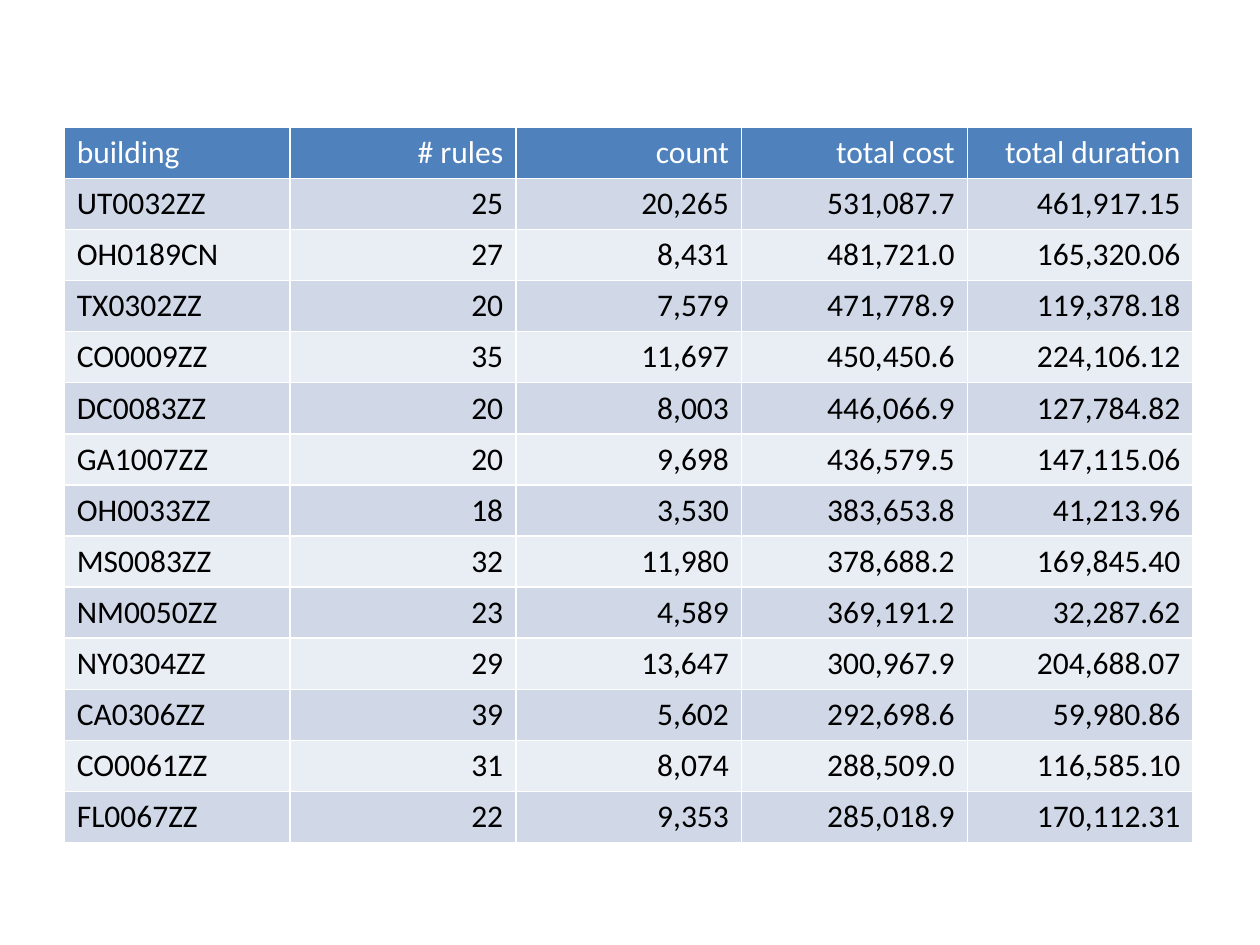
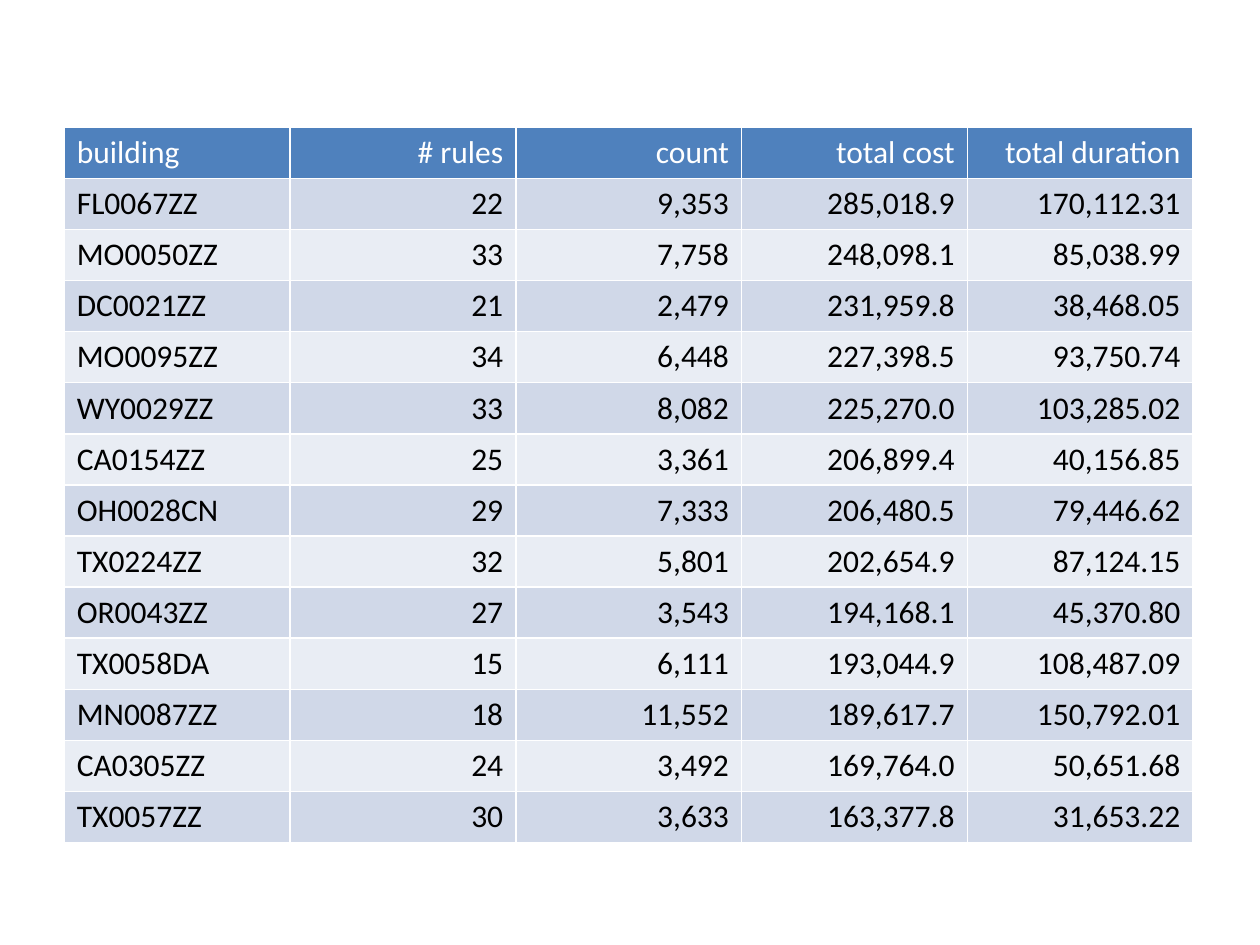
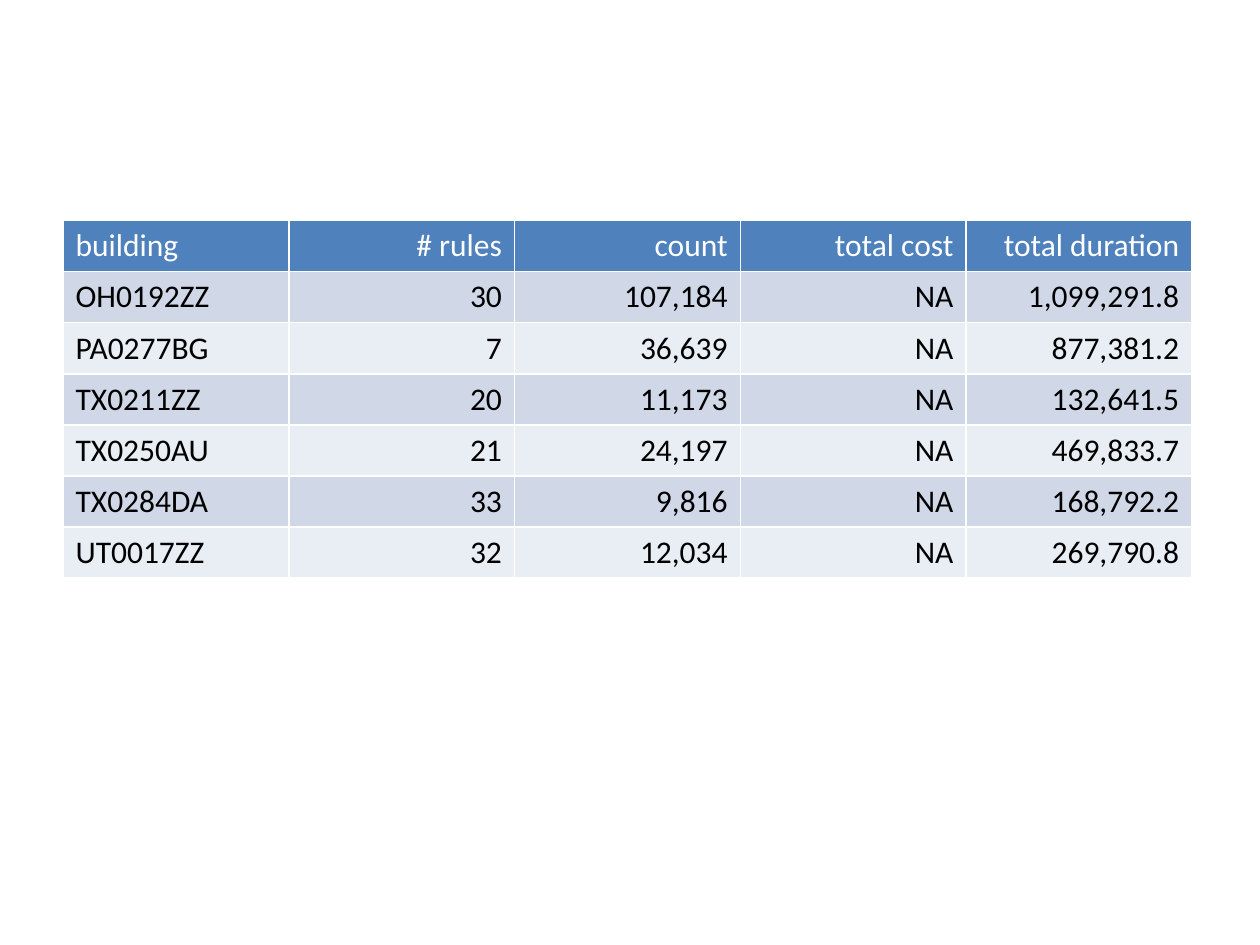
"""Build three slides of building cost tables."""
import dataclasses

import pptx
import pptx.dml.color
import pptx.enum.text
import pptx.util

SLIDE_WIDTH = pptx.util.Inches(10)
SLIDE_HEIGHT = pptx.util.Inches(7.5)
GRID_COLUMNS = 100
GRID_ROWS = 75
TABLE_COLUMNS = 89.6
ROW_SPAN = 4

FONT = "Calibri"
FONT_SIZE = 18
HEADER_FILL = "4F81BD"
HEADER_TEXT = "FFFFFF"
BODY_TEXT = "000000"
BAND_FILLS = ("D0D8E8", "E9EDF4")

HEADINGS = ("building", "# rules", "count", "total cost", "total duration")


@dataclasses.dataclass(frozen=True)
class BuildingTable:
    """Buildings on one slide and the grid position of their table."""
    column: float
    row: float
    buildings: tuple[tuple[str, ...], ...]


BUILDING_TABLES = (
    BuildingTable(5.1, 10.1, (
        ("UT0032ZZ", "25", "20,265", "531,087.7", "461,917.15"),
        ("OH0189CN", "27", "8,431", "481,721.0", "165,320.06"),
        ("TX0302ZZ", "20", "7,579", "471,778.9", "119,378.18"),
        ("CO0009ZZ", "35", "11,697", "450,450.6", "224,106.12"),
        ("DC0083ZZ", "20", "8,003", "446,066.9", "127,784.82"),
        ("GA1007ZZ", "20", "9,698", "436,579.5", "147,115.06"),
        ("OH0033ZZ", "18", "3,530", "383,653.8", "41,213.96"),
        ("MS0083ZZ", "32", "11,980", "378,688.2", "169,845.40"),
        ("NM0050ZZ", "23", "4,589", "369,191.2", "32,287.62"),
        ("NY0304ZZ", "29", "13,647", "300,967.9", "204,688.07"),
        ("CA0306ZZ", "39", "5,602", "292,698.6", "59,980.86"),
        ("CO0061ZZ", "31", "8,074", "288,509.0", "116,585.10"),
        ("FL0067ZZ", "22", "9,353", "285,018.9", "170,112.31"),
    )),
    BuildingTable(5.1, 10.1, (
        ("FL0067ZZ", "22", "9,353", "285,018.9", "170,112.31"),
        ("MO0050ZZ", "33", "7,758", "248,098.1", "85,038.99"),
        ("DC0021ZZ", "21", "2,479", "231,959.8", "38,468.05"),
        ("MO0095ZZ", "34", "6,448", "227,398.5", "93,750.74"),
        ("WY0029ZZ", "33", "8,082", "225,270.0", "103,285.02"),
        ("CA0154ZZ", "25", "3,361", "206,899.4", "40,156.85"),
        ("OH0028CN", "29", "7,333", "206,480.5", "79,446.62"),
        ("TX0224ZZ", "32", "5,801", "202,654.9", "87,124.15"),
        ("OR0043ZZ", "27", "3,543", "194,168.1", "45,370.80"),
        ("TX0058DA", "15", "6,111", "193,044.9", "108,487.09"),
        ("MN0087ZZ", "18", "11,552", "189,617.7", "150,792.01"),
        ("CA0305ZZ", "24", "3,492", "169,764.0", "50,651.68"),
        ("TX0057ZZ", "30", "3,633", "163,377.8", "31,653.22"),
    )),
    BuildingTable(5, 17.5, (
        ("OH0192ZZ", "30", "107,184", "NA", "1,099,291.8"),
        ("PA0277BG", "7", "36,639", "NA", "877,381.2"),
        ("TX0211ZZ", "20", "11,173", "NA", "132,641.5"),
        ("TX0250AU", "21", "24,197", "NA", "469,833.7"),
        ("TX0284DA", "33", "9,816", "NA", "168,792.2"),
        ("UT0017ZZ", "32", "12,034", "NA", "269,790.8"),
    )),
)


def across(columns: float) -> pptx.util.Emu:
    """Return the width of a number of grid columns."""
    return pptx.util.Emu(round(SLIDE_WIDTH * columns / GRID_COLUMNS))


def down(rows: float) -> pptx.util.Emu:
    """Return the height of a number of grid rows."""
    return pptx.util.Emu(round(SLIDE_HEIGHT * rows / GRID_ROWS))


def paint(color_format, color: str) -> None:
    """Set a fill or font colour from a hex string."""
    color_format.rgb = pptx.dml.color.RGBColor.from_string(color)


def write_cell(cell, content: str, fill: str, ink: str, numeric: bool) -> None:
    """Fill a cell and write its text, numbers to the right."""
    cell.fill.solid()
    paint(cell.fill.fore_color, fill)
    cell.text = content
    paragraph = cell.text_frame.paragraphs[0]
    if numeric:
        paragraph.alignment = pptx.enum.text.PP_ALIGN.RIGHT
    paragraph.font.name = FONT
    paragraph.font.size = pptx.util.Pt(FONT_SIZE)
    paragraph.font.bold = False
    paint(paragraph.font.color, ink)


def draw_building_table(slide, layout: BuildingTable) -> None:
    """Draw the heading row and one banded row for each building."""
    records = (HEADINGS, *layout.buildings)
    table = slide.shapes.add_table(
        len(records), len(HEADINGS),
        across(layout.column), down(layout.row),
        across(TABLE_COLUMNS), down(ROW_SPAN * len(records)),
    ).table
    for row, record in enumerate(records):
        if row == 0:
            fill, ink = HEADER_FILL, HEADER_TEXT
        else:
            fill, ink = BAND_FILLS[(row - 1) % len(BAND_FILLS)], BODY_TEXT
        for column, content in enumerate(record):
            write_cell(table.cell(row, column), content, fill, ink, column > 0)


def main() -> None:
    """Build and save the presentation."""
    presentation = pptx.Presentation()
    presentation.slide_width = SLIDE_WIDTH
    presentation.slide_height = SLIDE_HEIGHT
    blank = presentation.slide_layouts[6]
    for layout in BUILDING_TABLES:
        draw_building_table(presentation.slides.add_slide(blank), layout)
    presentation.save("out.pptx")


main()
